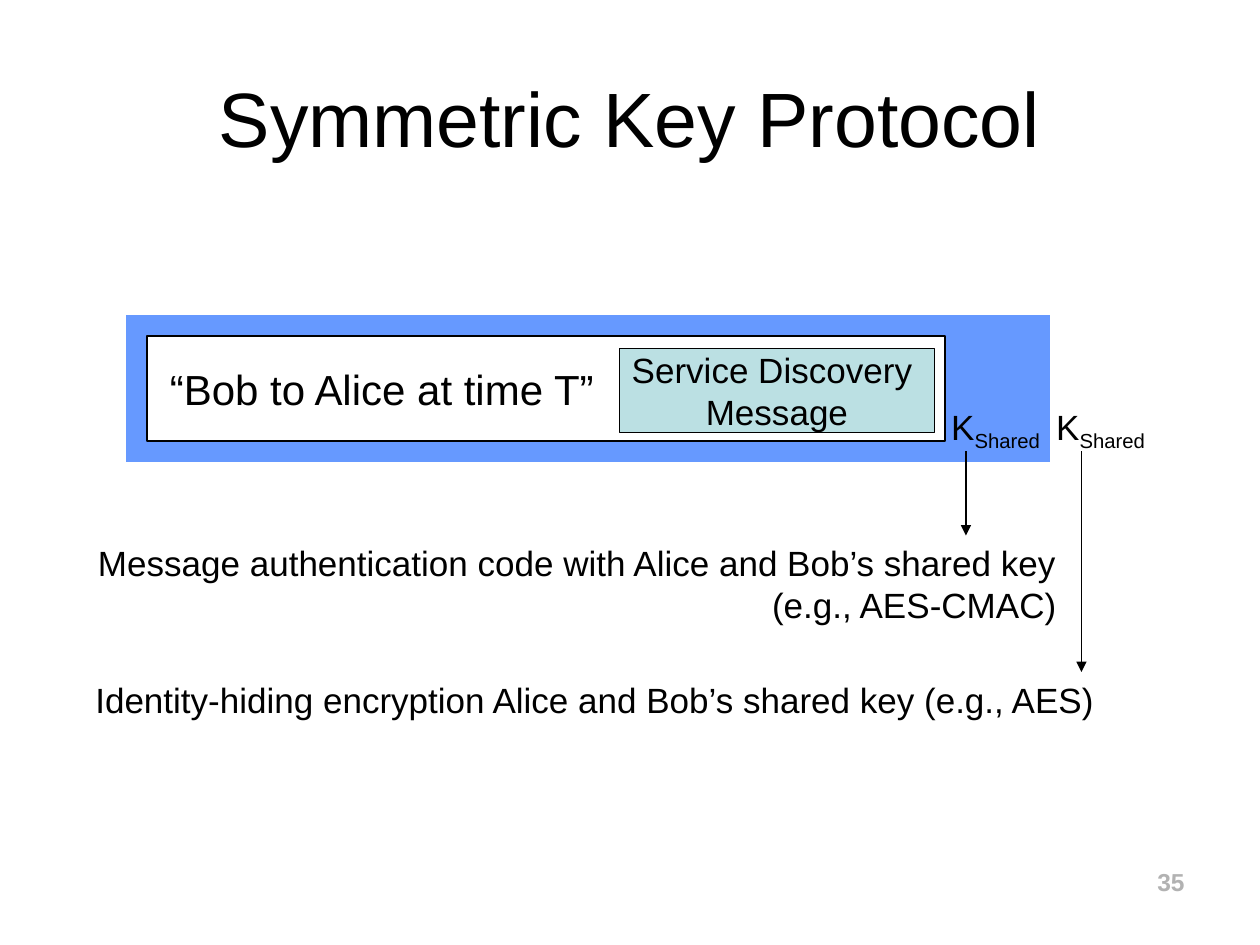
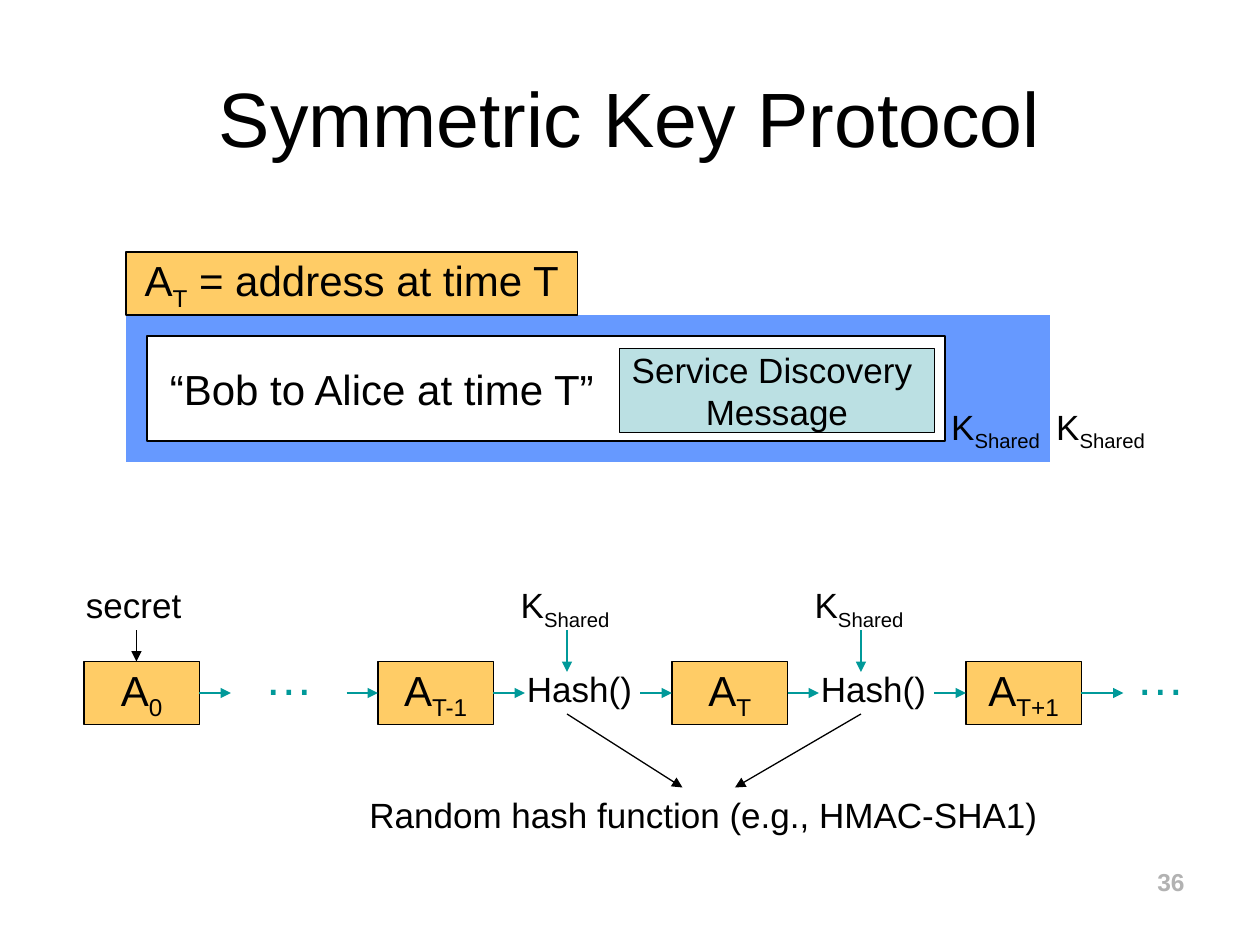
from lxml import etree
from pptx import Presentation
from pptx import util as u
from pptx.dml.color import RGBColor
from pptx.enum import shapes, text
from pptx.oxml.ns import qn

COLUMNS, ROWS = 120, 90
CELL = u.Inches(10) // COLUMNS
FONT = "Arial"
BLACK = RGBColor(0x00, 0x00, 0x00)
WHITE = RGBColor(0xFF, 0xFF, 0xFF)
BLUE = RGBColor(0x66, 0x99, 0xFF)
PALE_TEAL = RGBColor(0xBB, 0xE0, 0xE3)
TEAL = RGBColor(0x00, 0x99, 0x99)
AMBER = RGBColor(0xFF, 0xCC, 0x66)
GREY = RGBColor(0xB2, 0xB2, 0xB2)
LEFT, CENTER, RIGHT = text.PP_ALIGN.LEFT, text.PP_ALIGN.CENTER, text.PP_ALIGN.RIGHT
CHAIN_START, CHAIN_PITCH, CHAIN_ROW = 8, 28, 66
ADDRESS_WIDTH, ADDRESS_HEIGHT = 11, 6


def grid(*cells):
    """Turn grid columns and rows into lengths."""
    return [u.Emu(round(cell * CELL)) for cell in cells]


def write(shape, lines, size, color=BLACK, align=LEFT, bold=False):
    """Fill a shape with lines, each a tuple of alternating normal and subscript pieces."""
    frame = shape.text_frame
    for index, pieces in enumerate(lines):
        paragraph = frame.add_paragraph() if index else frame.paragraphs[0]
        paragraph.alignment = align
        font = paragraph.font
        font.name, font.size, font.bold = FONT, u.Pt(size), bold
        font.color.rgb = color
        for position, piece in enumerate(pieces):
            run = paragraph.add_run()
            run.text = piece
            if position % 2:
                run._r.get_or_add_rPr().set("baseline", "-25000")


def add_label(slide, place, *lines, size=20, color=BLACK, align=LEFT,
              wrap=False, bold=False):
    """Add a text box that grows with its lines."""
    label = slide.shapes.add_textbox(*grid(*place))
    label.text_frame.word_wrap = wrap
    label.text_frame.auto_size = text.MSO_AUTO_SIZE.SHAPE_TO_FIT_TEXT
    write(label, lines, size, color, align, bold)


def add_shared_key(slide, column, row):
    """Add a shared key label, wide enough for its subscript."""
    add_label(slide, (column, row, 11.4, 5.7), ("K", "Shared"))


def add_box(slide, place, fill, *lines, size=24, outlined=True):
    """Add a filled rectangle with centred lines."""
    box = slide.shapes.add_shape(shapes.MSO_SHAPE.RECTANGLE, *grid(*place))
    box.shadow.inherit = False
    box.fill.solid()
    box.fill.fore_color.rgb = fill
    if outlined:
        box.line.color.rgb = BLACK
        box.line.width = u.Pt(0.75)
    else:
        box.line.fill.background()
    box.text_frame.word_wrap = False
    box.text_frame.vertical_anchor = text.MSO_ANCHOR.MIDDLE
    write(box, lines, size, align=CENTER)
    return box


def add_arrow(slide, start, end, color=BLACK):
    """Add a thin straight arrow between two grid points."""
    arrow = slide.shapes.add_connector(shapes.MSO_CONNECTOR.STRAIGHT, *grid(*start, *end))
    arrow.line.color.rgb = color
    arrow.line.width = u.Pt(0.75)
    etree.SubElement(arrow.line._get_or_add_ln(), qn("a:tailEnd"), type="triangle")
    etree.SubElement(arrow._element.spPr, qn("a:effectLst"))
    return arrow


def add_frame(presentation, number):
    """Add a blank slide with the title and slide number."""
    slide = presentation.slides.add_slide(presentation.slide_layouts[6])
    title = slide.shapes.add_textbox(*grid(6, 3.6, 108, 15))
    title.text_frame.word_wrap = True
    title.text_frame.vertical_anchor = text.MSO_ANCHOR.MIDDLE
    write(title, [("Symmetric Key Protocol",)], 44, align=CENTER)
    add_label(slide, (86, 82, 28, 6.2), (str(number),), size=14, color=GREY,
              align=RIGHT, wrap=True, bold=True)
    return slide


def add_message(slide):
    """Draw the encrypted and authenticated message."""
    add_box(slide, (12, 30, 88, 14), BLUE, outlined=False)
    add_box(slide, (14, 32, 76, 10), WHITE)
    add_label(slide, (15, 34, 43.5, 6), ("“Bob to Alice at time T”",), size=24)
    add_box(slide, (59, 33.2, 30, 8), PALE_TEAL,
            ("Service Discovery ",), ("Message",), size=20)
    for column in (89.4, 99.4):
        add_shared_key(slide, column, 38)


def add_key_notes(slide):
    """Explain the two uses of the shared key."""
    add_label(slide, (7.8, 51, 94, 9.2),
              ("Message authentication code with Alice and Bob’s shared key",),
              ("(e.g., AES-CMAC)",), align=RIGHT)
    add_label(slide, (7.9, 64, 98, 5.3),
              ("Identity-hiding encryption Alice and Bob’s shared key (e.g., AES)",))
    add_arrow(slide, (92, 43), (92, 51))
    add_arrow(slide, (103, 43), (103, 64))


def add_hash(slide, column, note_column):
    """Draw one keyed hash step and its arrow to the note below."""
    add_label(slide, (column, CHAIN_ROW - 3, 12.8, 5.3), ("Hash()",))
    add_shared_key(slide, column - 0.6, 55)
    add_arrow(slide, (column + 5, 60), (column + 5, 64), TEAL)
    add_arrow(slide, (column + 5, 68), (note_column, 75))


def add_address_chain(slide):
    """Draw the chain of addresses derived from the secret."""
    out_lengths = (3, 3, 3, 4)
    for index, (name, length) in enumerate(zip(("0", "T-1", "T", "T+1"), out_lengths)):
        left = CHAIN_START + index * CHAIN_PITCH
        right = left + ADDRESS_WIDTH
        address = add_box(slide, (left, CHAIN_ROW - ADDRESS_HEIGHT / 2,
                                  ADDRESS_WIDTH, ADDRESS_HEIGHT), AMBER, ("A", name))
        outgoing = add_arrow(slide, (right, CHAIN_ROW), (right + length, CHAIN_ROW), TEAL)
        outgoing.begin_connect(address, 3)
        if index:
            incoming = add_arrow(slide, (left - 3, CHAIN_ROW), (left, CHAIN_ROW), TEAL)
            incoming.end_connect(address, 1)
    for column, note_column in ((49, 65), (77, 70)):
        add_hash(slide, column, note_column)
    for column in (24, 107):
        add_label(slide, (column, 61, 5, 6.8), ("…",), size=28, color=TEAL, wrap=True)
    add_label(slide, (7, 55, 12, 5.3), ("secret",))
    add_arrow(slide, (13, 60), (13, 63))
    add_label(slide, (34, 75, 67, 5.3), ("Random hash function (e.g., HMAC-SHA1)",))


def main():
    """Build and save both slides."""
    presentation = Presentation()
    presentation.slide_width, presentation.slide_height = grid(COLUMNS, ROWS)

    protocol = add_frame(presentation, 35)
    add_message(protocol)
    add_key_notes(protocol)

    addressing = add_frame(presentation, 36)
    add_message(addressing)
    add_box(addressing, (12, 24, 43, 6), AMBER, ("A", "T", " = address at time T"))
    add_address_chain(addressing)

    presentation.save("out.pptx")


if __name__ == "__main__":
    main()
